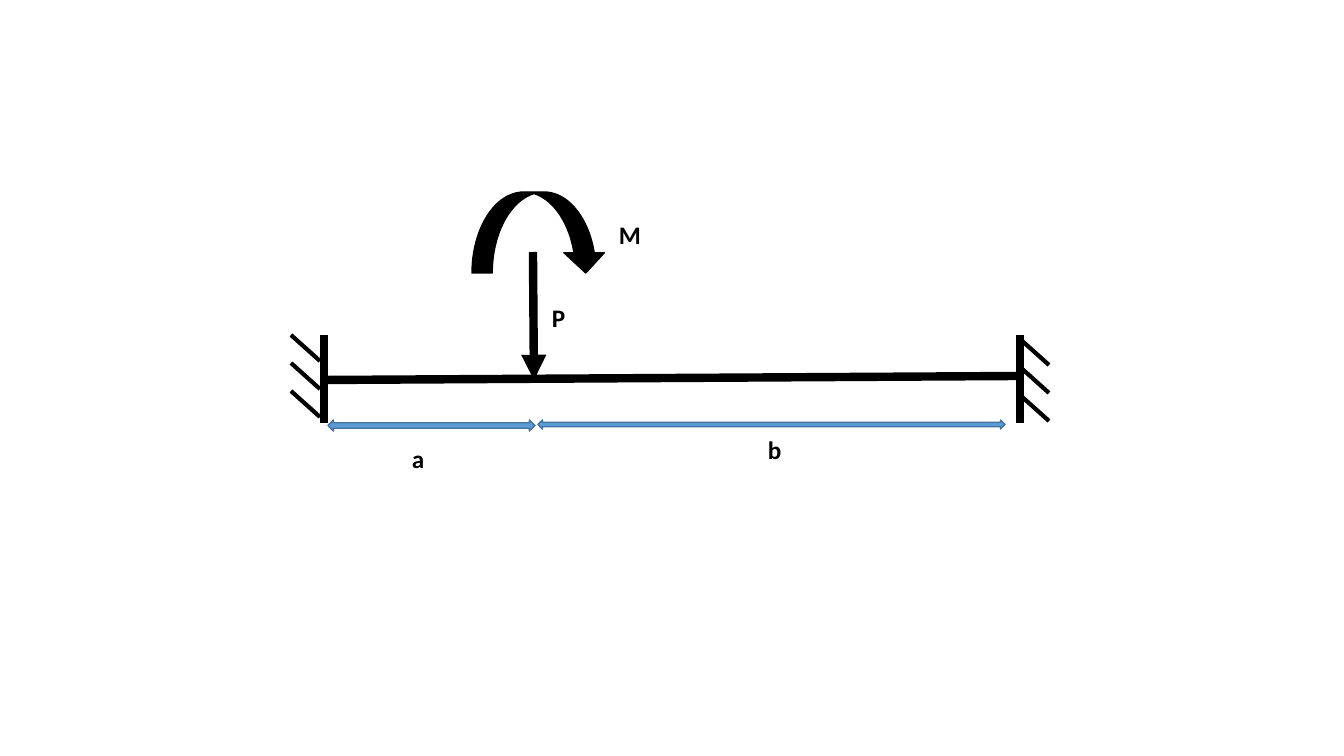
from lxml import etree
from pptx import Presentation
from pptx import util as u
from pptx.dml.color import RGBColor
from pptx.enum import shapes, text
from pptx.oxml.ns import qn

PX = 914400 / 100.8
COLORS = {"ink": "000000", "span": "5B9BD5", "span_edge": "43739E"}
FONT = "Calibri"
SUPPORT_HEIGHT = 88
HATCH_RUN, HATCH_DROP, HATCH_STEP = 29, 26, 28


def px(length):
    return u.Emu(round(length * PX))


def color(name):
    return RGBColor.from_string(COLORS[name])


def add_line(slide, start, end, width, arrow=False):
    line = slide.shapes.add_connector(
        shapes.MSO_CONNECTOR.STRAIGHT, *map(px, (*start, *end)))
    line.line.color.rgb = color("ink")
    line.line.width = u.Pt(width)
    if arrow:
        etree.SubElement(line.line._get_or_add_ln(), qn("a:tailEnd"), type="triangle")
    etree.SubElement(line._element.spPr, qn("a:effectLst"))


def add_arrow_shape(slide, kind, box, fill, edge):
    arrow = slide.shapes.add_shape(kind, *map(px, box))
    arrow.shadow.inherit = False
    arrow.fill.solid()
    arrow.fill.fore_color.rgb = color(fill)
    arrow.line.color.rgb = color(edge)
    arrow.line.width = u.Pt(1)


def add_label(slide, wording, left, top):
    frame = slide.shapes.add_textbox(*map(px, (left, top, 65, 40))).text_frame
    frame.word_wrap = True
    frame.auto_size = text.MSO_AUTO_SIZE.SHAPE_TO_FIT_TEXT
    paragraph = frame.paragraphs[0]
    paragraph.text = wording
    font = paragraph.font
    font.name, font.size, font.bold = FONT, u.Pt(18), True
    font.color.rgb = color("ink")


def add_support(slide, x, top, hatch_left, hatch_top):
    """Draw a wall at x with three hatch strokes falling to the right."""
    add_line(slide, (x, top), (x, top + SUPPORT_HEIGHT), 6)
    for row in range(3):
        y = hatch_top + row * HATCH_STEP
        add_line(slide, (hatch_left, y),
                 (hatch_left + HATCH_RUN, y + HATCH_DROP), 3)


def add_beam(slide, left, top, width):
    right = left + width
    add_line(slide, (left, top + 45), (right, top + 41), 6)
    add_support(slide, left, top, left - 33, top)
    add_support(slide, right, top, right, top + 4)


def add_loads(slide, left, top):
    """Draw the moment M above the point load P."""
    add_line(slide, (left + 61, top + 60), (left + 62, top + 188), 6, arrow=True)
    add_arrow_shape(slide, shapes.MSO_SHAPE.CURVED_DOWN_ARROW,
                    (left, top, 134, 81), "ink", "ink")
    add_label(slide, "M", left + 137, top + 22)
    add_label(slide, "P", left + 70, top + 105)


def add_span(slide, box, wording, label_left, label_top):
    """Draw a dimension arrow; its label is placed from the arrow's corner."""
    add_arrow_shape(slide, shapes.MSO_SHAPE.LEFT_RIGHT_ARROW,
                    box, "span", "span_edge")
    add_label(slide, wording, box[0] + label_left, box[1] + label_top)


def main():
    deck = Presentation()
    deck.slide_width, deck.slide_height = px(1344), px(756)
    slide = deck.slides.add_slide(deck.slide_layouts[6])
    add_beam(slide, 324, 335, 696)
    add_loads(slide, 472, 192)
    add_span(slide, (328, 420, 207, 11), "a", 74, 18)
    add_span(slide, (538, 420, 467, 9), "b", 220, 9)
    deck.save("out.pptx")


if __name__ == "__main__":
    main()
